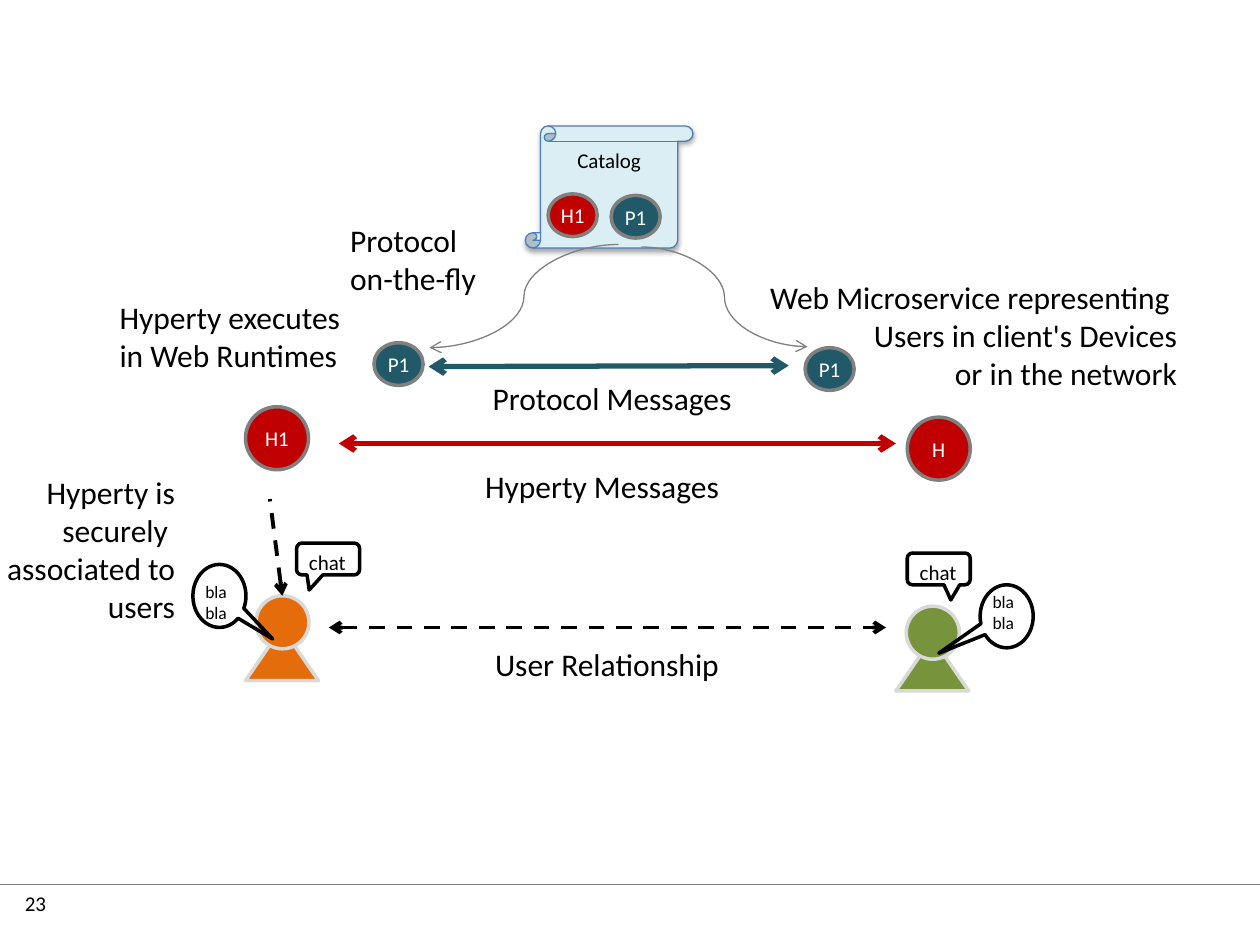
import pptx
import pptx.util
from pptx.dml.color import RGBColor
from pptx.enum.dml import MSO_LINE
from pptx.enum.shapes import MSO_CONNECTOR, MSO_SHAPE
from pptx.enum.text import MSO_ANCHOR, PP_ALIGN
from pptx.oxml import parse_xml
from pptx.oxml.ns import nsdecls
from pptx.util import Cm

BLACK = RGBColor(0x00, 0x00, 0x00)
WHITE = RGBColor(0xFF, 0xFF, 0xFF)
GRAY = RGBColor(0x80, 0x80, 0x80)
SILVER = RGBColor(0xD9, 0xD9, 0xD9)
RED = RGBColor(0xC0, 0x00, 0x00)
TEAL = RGBColor(0x21, 0x59, 0x68)
ORANGE = RGBColor(0xE4, 0x6C, 0x0A)
GREEN = RGBColor(0x77, 0x93, 0x3C)
PALE_BLUE = RGBColor(0xDB, 0xEE, 0xF4)
BLUE = RGBColor(0x4B, 0x7E, 0xBC)

LEFT, CENTER, RIGHT = PP_ALIGN.LEFT, PP_ALIGN.CENTER, PP_ALIGN.RIGHT
STRAIGHT, CURVE = MSO_CONNECTOR.STRAIGHT, MSO_CONNECTOR.CURVE

# Content: all lengths in centimetres
# The orange user's chat bubble stands right of the dashed arrow
USERS = [
    {"color": ORANGE, "body": (4.95, 12.01), "chat": (5.98, 10.95), "chat_tip": -0.3,
     "bubble": (3.89, 11.38), "bubble_tip": (1.003, 0.683), "bubble_text_top": 11.58},
    {"color": GREEN, "body": (18.06, 12.22), "chat": (18.29, 11.15), "chat_tip": 0.192,
     "bubble": (19.76, 11.79), "bubble_tip": (-1.28, 0.586), "bubble_text_top": 11.79},
]

BIG, SMALL = (1.27, 1.27), (0.99, 0.86)
CATALOG = (10.59, 2.54, 3.38, 2.46)
BADGES = [  # text, position, size, color
    ("H1", (4.95, 8.2), BIG, RED),
    ("H", (18.29, 8.41), BIG, RED),
    ("P1", (7.54, 6.91), SMALL, TEAL),
    ("P1", (16.23, 7.01), SMALL, TEAL),
    ("H1", (11.05, 3.91), SMALL, RED),
    ("P1", (12.32, 3.94), SMALL, TEAL),
]

LABELS = [  # text, box, size in points, alignment
    ("Web Microservice representing \vUsers in client's Devices\nor in the network",
     (11.28, 5.49, 12.7, 2.57), 18, RIGHT),
    ("Hyperty executes \vin Web Runtimes", (2.16, 5.89, 6.05, 1.8), 18, LEFT),
    ("Hyperty is securely \vassociated to users", (-0.56, 9.42, 4.34, 3.33), 18, RIGHT),
    ("Protocol on-the-fly", (6.81, 4.34, 3.12, 1.8), 18, LEFT),
    ("User Relationship", (9.73, 12.88, 5.54, 1.02), 18, LEFT),
    ("Hyperty Messages", (9.53, 9.3, 5.54, 1.02), 18, LEFT),
    ("Protocol Messages", (9.68, 7.52, 5.54, 1.02), 18, LEFT),
    ("23", (0.25, 17.83, 2.03, 1.02), 12, LEFT),
]

HEAD, TAIL = "headEnd", "tailEnd"
LINES = [  # kind, from and to, color, width, dashed, arrowheads
    (STRAIGHT, (0, 17.83, 25.4, 17.83), GRAY, 0.75, False, ()),
    (STRAIGHT, (6.63, 12.65, 17.86, 12.65), BLACK, 2.25, True, (HEAD, TAIL)),
    (STRAIGHT, (5.69, 12.01, 5.44, 10.06), BLACK, 2.25, True, (HEAD,)),
    (STRAIGHT, (6.83, 8.94, 18.06, 8.94), RED, 3, False, (HEAD, TAIL)),
    (STRAIGHT, (8.64, 7.39, 15.9, 7.37), TEAL, 3, False, (HEAD, TAIL)),
    (CURVE, (12.93, 4.98, 16.28, 6.99), GRAY, 0.75, False, (TAIL,)),
    (CURVE, (12.47, 4.93, 8.66, 7.01), GRAY, 0.75, False, (TAIL,)),
]


def set_values(target, values):
    for name, value in values.items():
        setattr(target, name, value)


def write(shape, text, size, color=BLACK, align=LEFT, **frame_values):
    frame = shape.text_frame
    frame.text = text
    set_values(frame, {"word_wrap": True, "vertical_anchor": MSO_ANCHOR.TOP, **frame_values})
    for para in frame.paragraphs:
        para.alignment = align
        set_values(para.font, {"name": "Calibri", "size": pptx.util.Pt(size)})
        para.font.color.rgb = color


def add_label(page, text, box, size, align=LEFT):
    write(page.shapes.add_textbox(*map(Cm, box)), text, size, align=align)


def add_figure(page, kind, box, fill, line, width=2, adjustments=()):
    shape = page.shapes.add_shape(kind, *map(Cm, box))
    shape.shadow.inherit = False
    if fill is None:
        shape.fill.background()
    else:
        shape.fill.solid()
        shape.fill.fore_color.rgb = fill
    shape.line.color.rgb = line
    shape.line.width = pptx.util.Pt(width)
    for index, value in enumerate(adjustments):
        shape.adjustments[index] = value
    return shape


def add_user(page, user):
    left, top = user["body"]
    add_figure(page, MSO_SHAPE.ISOSCELES_TRIANGLE, (left, top + 0.64, 1.47, 1.07),
               user["color"], SILVER)
    add_figure(page, MSO_SHAPE.OVAL, (left + 0.21, top, 1.07, 1.07), user["color"], SILVER)
    add_figure(page, MSO_SHAPE.OVAL_CALLOUT, (*user["bubble"], 1.07, 1.27), None, BLACK,
               adjustments=user["bubble_tip"])
    add_label(page, "bla bla", (user["bubble"][0], user["bubble_text_top"], 1.07, 1.12), 10)
    add_figure(page, MSO_SHAPE.ROUNDED_RECTANGULAR_CALLOUT, (*user["chat"], 1.27, 0.64), None,
               BLACK, adjustments=(user["chat_tip"], 0.977, 0.167))
    add_label(page, "chat", (*user["chat"], 1.27, 0.76), 12)


def add_catalog(page):
    scroll = add_figure(page, MSO_SHAPE.VERTICAL_SCROLL, CATALOG, PALE_BLUE, BLUE, 0.75)
    write(scroll, "Catalog", 12, align=CENTER)
    effects = scroll._element.spPr.find(pptx.oxml.ns.qn("a:effectLst"))
    effects.append(parse_xml(
        f'<a:outerShdw {nsdecls("a")} blurRad="39370" dist="22860" dir="5400000" rotWithShape="0">'
        '<a:srgbClr val="000000"><a:alpha val="35000"/></a:srgbClr></a:outerShdw>'))


def add_badge(page, text, position, size, color):
    badge = add_figure(page, MSO_SHAPE.OVAL, (*position, *size), color, GRAY)
    margins = {f"margin_{side}": 0 for side in ("left", "top", "right", "bottom")}
    write(badge, text, 12, WHITE, CENTER, **{**margins, "word_wrap": False,
                                             "vertical_anchor": MSO_ANCHOR.MIDDLE})


def add_line(page, kind, ends, color, width, dashed, arrowheads):
    connector = page.shapes.add_connector(kind, *map(Cm, ends))
    connector.line.color.rgb = color
    connector.line.width = pptx.util.Pt(width)
    if dashed:
        connector.line.dash_style = MSO_LINE.DASH
    outline = connector.line._get_or_add_ln()
    for end in arrowheads:
        outline.append(parse_xml(f'<a:{end} {nsdecls("a")} type="arrow"/>'))
    connector._element.spPr.append(parse_xml(f'<a:effectLst {nsdecls("a")}/>'))


def main():
    deck = pptx.Presentation()
    set_values(deck, {"slide_width": Cm(25.4), "slide_height": Cm(19.05)})
    page = deck.slides.add_slide(deck.slide_layouts[6])

    # Users with their speech bubbles
    for user in USERS:
        add_user(page, user)

    # Catalog, hyperties and protocols
    add_catalog(page)
    for badge in BADGES:
        add_badge(page, *badge)

    # Links and captions
    for line in LINES:
        add_line(page, *line)
    for label in LABELS:
        add_label(page, *label)

    deck.save("out.pptx")


if __name__ == "__main__":
    main()
